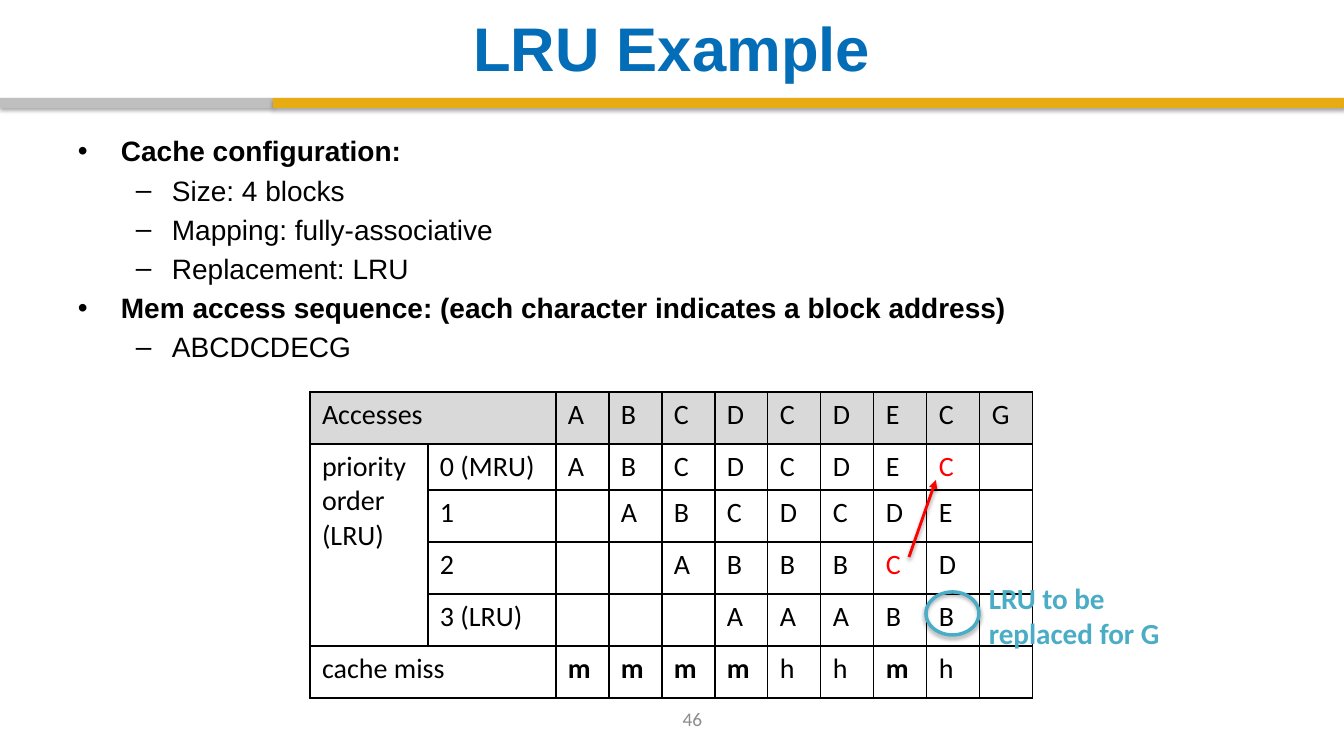
from lxml import etree
from pptx import Presentation
from pptx.dml.color import RGBColor
from pptx.enum.shapes import MSO_CONNECTOR, MSO_SHAPE
from pptx.enum.text import MSO_ANCHOR, PP_ALIGN
from pptx.oxml.ns import qn
from pptx.util import Emu, Pt

EMU_PER_PX = 914400 / 100.8
RECTANGLE, OVAL = MSO_SHAPE.RECTANGLE, MSO_SHAPE.OVAL
STRAIGHT = MSO_CONNECTOR.STRAIGHT
LEFT, CENTER = PP_ALIGN.LEFT, PP_ALIGN.CENTER
TOP, MIDDLE = MSO_ANCHOR.TOP, MSO_ANCHOR.MIDDLE

BLACK = RGBColor(0x00, 0x00, 0x00)
BLUE = RGBColor(0x03, 0x6D, 0xB7)
GOLD = RGBColor(0xE7, 0xAC, 0x11)
SILVER = RGBColor(0xBF, 0xBF, 0xBF)
GRAY = RGBColor(0x8C, 0x8C, 0x8C)
HEADER_FILL = RGBColor(0xD9, 0xD9, 0xD9)
RED = RGBColor(0xFF, 0x00, 0x00)
TEAL = RGBColor(0x4B, 0xAC, 0xC6)

OUTLINE = [
    (0, "Cache configuration:"),
    (1, "Size: 4 blocks"),
    (1, "Mapping: fully-associative"),
    (1, "Replacement: LRU"),
    (0, "Mem access sequence: (each character indicates a block address)"),
    (1, "ABCDCDECG"),
]
# Bullet, left margin and hanging indent in px for each level
LEVELS = [("•", 44, 43), ("–", 95, 36)]

# Row labels, then one character per access
CACHE_ROWS = [
    ("Accesses", "", "ABCDCDECG"),
    ("priority order\n(LRU)", "0 (MRU)", "ABCDCDEC "),
    ("", "1", " ABCDCDE "),
    ("", "2", "  ABBBCD "),
    ("", "3 (LRU)", "   AAABB "),
    ("cache miss", "", "mmmmhhmh "),
]
COLUMN_WIDTHS = [118, 128] + [53] * 9
ROW_HEIGHTS = [52, 46, 52, 52, 52, 52]
MERGES = [((0, 0), (0, 1)), ((1, 0), (4, 0)), ((5, 0), (5, 1))]
MOVED_CELLS = {(1, 9), (3, 8)}


def px(length):
    return Emu(round(length * EMU_PER_PX))


def box_px(*lengths):
    return [px(length) for length in lengths]


def add_run(paragraph, text, size, color, font="Calibri", bold=False):
    run = paragraph.add_run()
    run.text = text
    run.font.name = font
    run.font.size = Pt(size)
    run.font.bold = bold
    run.font.color.rgb = color


def add_text(slide, box, lines, size, color, font="Calibri", bold=False,
             align=LEFT, anchor=TOP):
    frame = slide.shapes.add_textbox(*box_px(*box)).text_frame
    frame.word_wrap = True
    frame.vertical_anchor = anchor
    for index, line in enumerate(lines):
        paragraph = frame.add_paragraph() if index else frame.paragraphs[0]
        paragraph.alignment = align
        add_run(paragraph, line, size, color, font, bold)


def add_shadow(shape, opacity):
    """Give the shape a soft shadow that falls straight down."""
    properties = shape._element.spPr
    for old_effects in properties.findall(qn("a:effectLst")):
        properties.remove(old_effects)
    effects = etree.SubElement(properties, qn("a:effectLst"))
    shadow = etree.SubElement(
        effects, qn("a:outerShdw"), blurRad=str(Pt(3.1)), dist=str(Pt(1.8)),
        dir="5400000", rotWithShape="0")
    color = etree.SubElement(shadow, qn("a:srgbClr"), val=str(BLACK))
    etree.SubElement(color, qn("a:alpha"), val=str(opacity * 1000))


def add_bar(slide, left, width, color):
    bar = slide.shapes.add_shape(RECTANGLE, *box_px(left, 98, width, 10))
    bar.fill.solid()
    bar.fill.fore_color.rgb = color
    bar.line.fill.background()
    add_shadow(bar, 35)


def add_ring(slide, box):
    ring = slide.shapes.add_shape(OVAL, *box_px(*box))
    ring.fill.background()
    ring.line.color.rgb = TEAL
    ring.line.width = Pt(2.5)
    add_shadow(ring, 35)


def add_arrow(slide, start, end):
    arrow = slide.shapes.add_connector(STRAIGHT, *box_px(*start, *end))
    arrow.line.color.rgb = RED
    arrow.line.width = Pt(2)
    etree.SubElement(arrow.line._get_or_add_ln(), qn("a:tailEnd"), type="triangle")
    add_shadow(arrow, 38)


def add_outline(slide, box):
    frame = slide.shapes.add_textbox(*box_px(*box)).text_frame
    frame.word_wrap = True
    for index, (level, text) in enumerate(OUTLINE):
        paragraph = frame.add_paragraph() if index else frame.paragraphs[0]
        bullet, margin, hanging = LEVELS[level]
        properties = paragraph._p.get_or_add_pPr()
        properties.set("marL", str(px(margin)))
        properties.set("indent", str(-px(hanging)))
        etree.SubElement(properties, qn("a:buFont"), typeface="Arial")
        etree.SubElement(properties, qn("a:buChar"), char=bullet)
        paragraph.level = level
        if index:
            paragraph.space_before = Pt(4)
        add_run(paragraph, text, 20, BLACK, "Arial", bold=level == 0)


def style_cell(cell, is_header):
    cell.margin_left = cell.margin_right = px(12)
    cell.margin_top = cell.margin_bottom = px(6)
    properties = cell._tc.get_or_add_tcPr()
    for side in ("lnL", "lnR", "lnT", "lnB"):
        border = etree.SubElement(properties, qn(f"a:{side}"), w=str(Pt(1)))
        fill = etree.SubElement(border, qn("a:solidFill"))
        etree.SubElement(fill, qn("a:srgbClr"), val=str(BLACK))
    if is_header:
        cell.fill.solid()
        cell.fill.fore_color.rgb = HEADER_FILL
    else:
        cell.fill.background()


def fill_cell(cell, text, color):
    for index, line in enumerate(text.split("\n")):
        frame = cell.text_frame
        paragraph = frame.add_paragraph() if index else frame.paragraphs[0]
        add_run(paragraph, line, 20, color, bold=line == "m")


def add_cache_table(slide, left, top):
    size = (sum(COLUMN_WIDTHS), sum(ROW_HEIGHTS))
    table = slide.shapes.add_table(
        len(ROW_HEIGHTS), len(COLUMN_WIDTHS), *box_px(left, top, *size)).table
    table.first_row = table.horz_banding = False
    for column, width in zip(table.columns, COLUMN_WIDTHS):
        column.width = px(width)
    for row, height in zip(table.rows, ROW_HEIGHTS):
        row.height = px(height)
    for first, last in MERGES:
        table.cell(*first).merge(table.cell(*last))
    for row, (group, label, accesses) in enumerate(CACHE_ROWS):
        for column, text in enumerate([group, label, *accesses]):
            cell = table.cell(row, column)
            style_cell(cell, is_header=row == 0)
            if text.strip():
                fill_cell(cell, text, RED if (row, column) in MOVED_CELLS else BLACK)


def main():
    presentation = Presentation()
    presentation.slide_width, presentation.slide_height = box_px(1344, 756)
    slide = presentation.slides.add_slide(presentation.slide_layouts[6])

    add_bar(slide, 0, 273, SILVER)
    add_bar(slide, 273, 1071, GOLD)
    add_text(slide, (67, 8, 1210, 77), ["LRU Example"], 44, BLUE, "Arial",
             bold=True, align=CENTER, anchor=MIDDLE)
    add_text(slide, (536, 699, 313, 40), ["46"], 13.8, GRAY,
             align=CENTER, anchor=MIDDLE)
    add_cache_table(slide, 310, 392)
    add_arrow(slide, (909, 557), (936, 480))
    add_ring(slide, (926, 592, 53, 43))
    add_text(slide, (979, 575, 200, 81), ["LRU to be", "replaced for G"], 20.8,
             TEAL, bold=True)
    add_outline(slide, (67, 129, 1210, 245))

    presentation.save("out.pptx")


if __name__ == "__main__":
    main()
